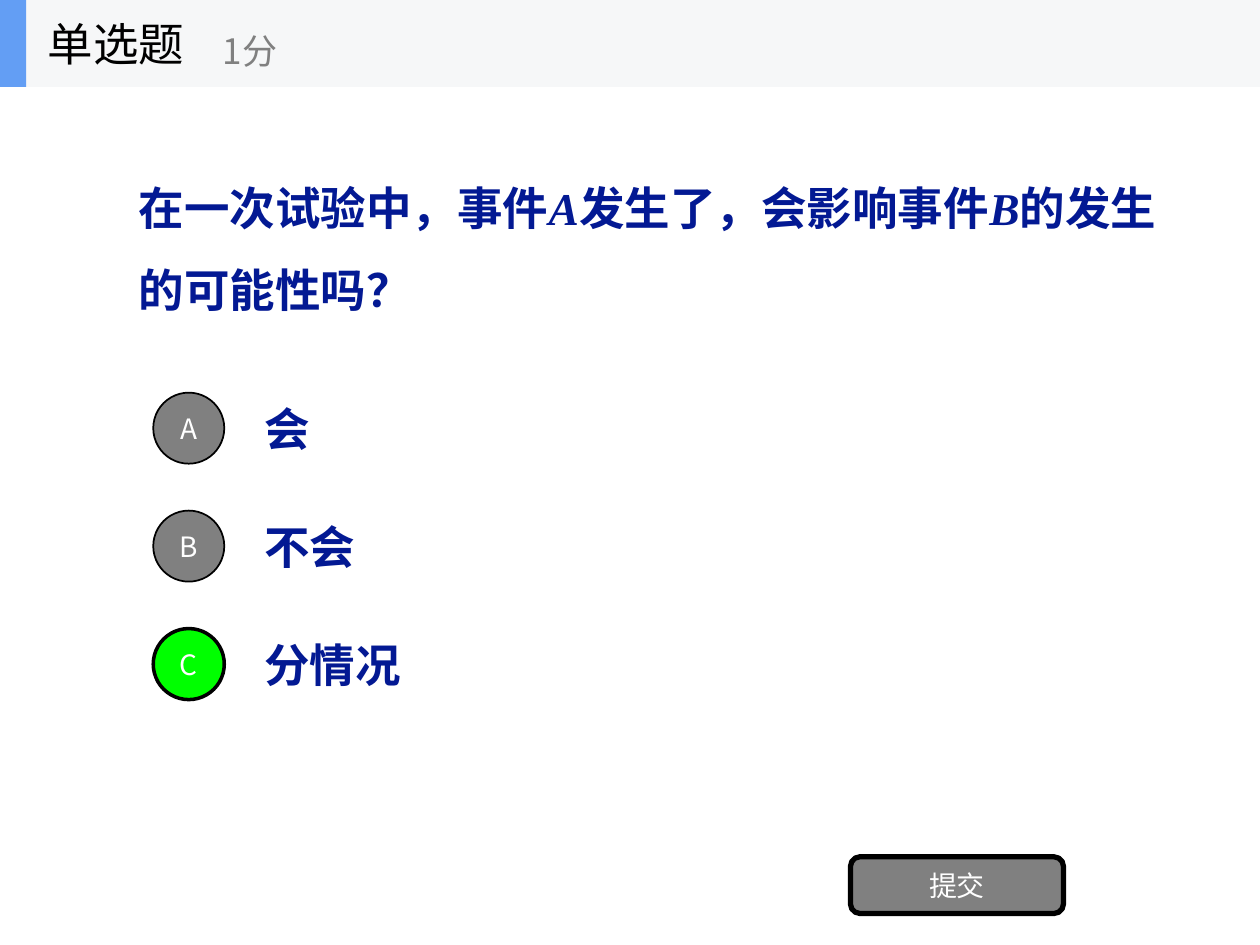
from lxml.etree import SubElement
from pptx import Presentation
from pptx.dml.color import RGBColor
from pptx.enum.shapes import MSO_SHAPE
from pptx.enum.text import MSO_ANCHOR, MSO_AUTO_SIZE, PP_ALIGN
from pptx.oxml.ns import qn
from pptx.util import Pt

SANS = "Noto Sans CJK SC"
NAVY, GRAY, WHITE, BLACK = "031993", "808080", "FFFFFF", "000000"
color = RGBColor.from_string


def write(shape, runs, size, tint, face=SANS, bold=False, align=PP_ALIGN.LEFT):
    frame = shape.text_frame
    frame.word_wrap = True
    frame.auto_size = MSO_AUTO_SIZE.NONE
    frame.vertical_anchor = MSO_ANCHOR.MIDDLE
    para = frame.paragraphs[0]
    para.alignment = align
    for text, slant in runs:
        run = para.add_run()
        run.text = text
        font = run.font
        font.size, font.name = Pt(size), face
        font.bold, font.italic = bold, slant
        font.color.rgb = color(tint)
        SubElement(font._element, qn("a:ea")).set("typeface", SANS)
    return para


def draw(kind, box, fill, edge=0):
    shape = slide.shapes.add_shape(kind, *map(Pt, box))
    shape.shadow.inherit = False
    shape.fill.solid()
    shape.fill.fore_color.rgb = color(fill)
    if edge:
        shape.line.color.rgb = color(BLACK)
        shape.line.width = Pt(edge)
    else:
        shape.line.fill.background()
    return shape


deck = Presentation()
deck.slide_width, deck.slide_height = Pt(720), Pt(540)
slide = deck.slides.add_slide(deck.slide_layouts[5])

title = slide.shapes.title
title.left, title.top, title.width, title.height = map(Pt, (72, 49.7, 617, 168.5))
parts = [("在一次试验中，事件", False), ("A", True), ("发生了，会影响事件", False),
         ("B", True), ("的发生的可能性吗？", False)]
write(title, parts, 26, NAVY, "Times New Roman", True).line_spacing = 1.5

choices = [("A", "会", GRAY, 1), ("B", "不会", GRAY, 1), ("C", "分情况", "00FF00", 2)]
for row, (mark, text, fill, edge) in enumerate(choices):
    top = 219.6 + 67.4 * row
    label = slide.shapes.add_textbox(Pt(144), Pt(top), Pt(504), Pt(50.4))
    write(label, [(text, False)], 26, NAVY, bold=True)
    disc = draw(MSO_SHAPE.OVAL, (87.6, top + 4.8, 40.6, 40.6), fill, edge)
    frame = disc.text_frame
    frame.margin_left = frame.margin_right = 0
    frame.margin_top = frame.margin_bottom = 0
    write(disc, [(mark, False)], 16, WHITE, align=PP_ALIGN.CENTER)

button = draw(MSO_SHAPE.ROUNDED_RECTANGLE, (486, 489.6, 121.7, 32.4), GRAY, 3)
write(button, [("提交", False)], 16, WHITE, align=PP_ALIGN.CENTER)

draw(MSO_SHAPE.RECTANGLE, (0, 0, 720, 49.7), "F6F7F8")
draw(MSO_SHAPE.RECTANGLE, (0, 0, 15, 49.7), "639EF4")
heads = [("单选题", (20.2, 0, 149.8, 49.7), 26, BLACK),
         ("1分", (120.2, 8.6, 180, 40.3), 20, GRAY)]
for text, box, size, tint in heads:
    write(slide.shapes.add_textbox(*map(Pt, box)), [(text, False)], size, tint)

deck.save("out.pptx")
